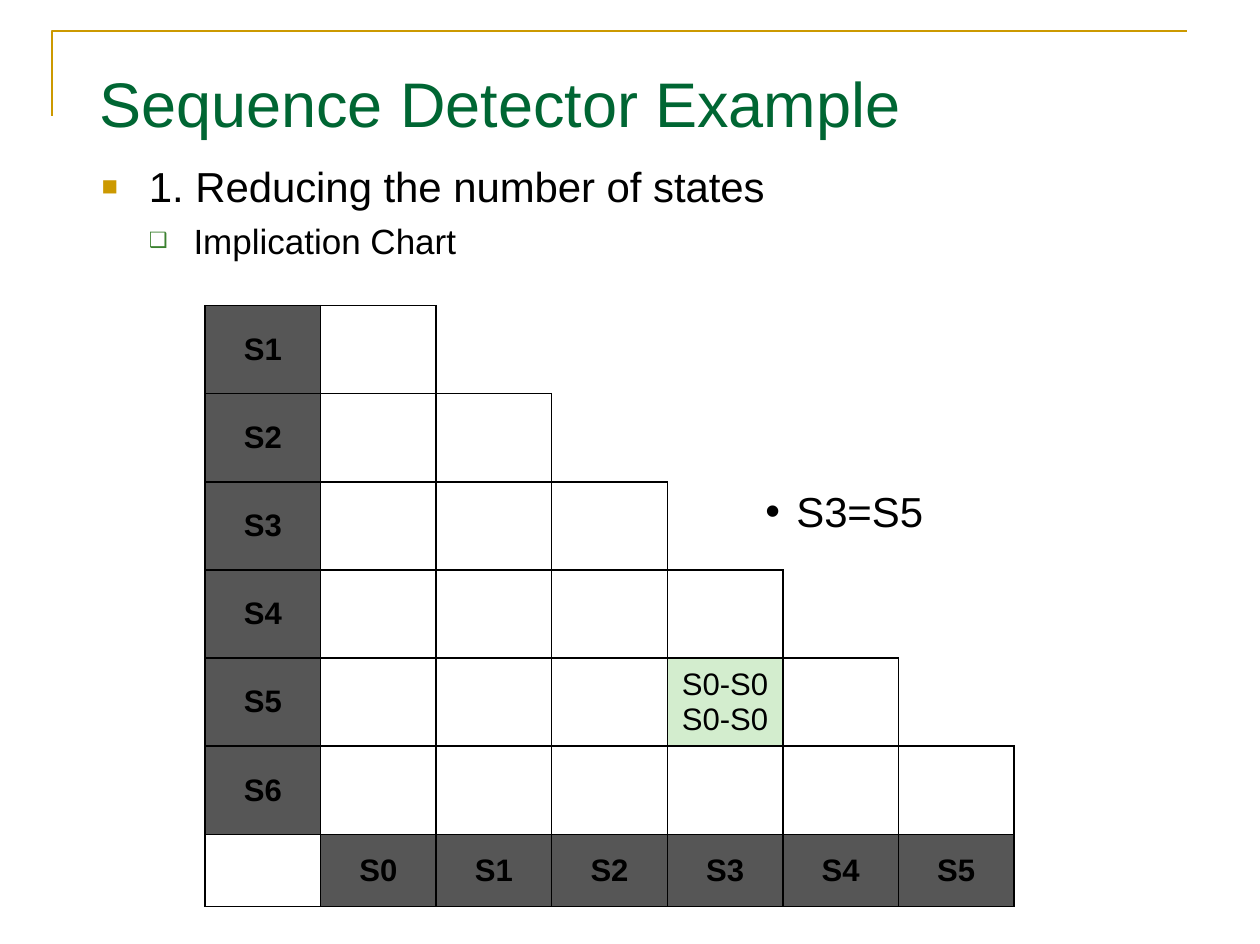
"""Builds the implication chart slide of a sequence detector example."""
from lxml.etree import SubElement
from pptx import Presentation
from pptx.dml.color import RGBColor
from pptx.enum.text import MSO_ANCHOR, PP_ALIGN
from pptx.oxml import parse_xml
from pptx.oxml.ns import nsdecls, qn
from pptx.util import Pt

COLORS = {
    "gold": "CC9900", "title": "006633", "text": "000000", "sub_bullet": "3B812F",
    "header": "565656", "cell": "FFFFFF", "match": "D3EDCE",
}


def add_text(box, lines):
    """Write lines of (text, size, colour, margin, hang, bullet, bullet colour, bullet %)."""
    frame = box.text_frame
    frame.word_wrap = True
    for index, (text, size, color, margin, hang, bullet, bullet_color, percent) in enumerate(lines):
        paragraph = frame.add_paragraph() if index else frame.paragraphs[0]
        paragraph.text = text
        if index:
            paragraph.space_before = Pt(5)
        if bullet:
            props = paragraph._p.get_or_add_pPr()
            props.set("marL", str(Pt(margin)))
            props.set("indent", str(-Pt(hang)))
            SubElement(SubElement(props, qn("a:buClr")), qn("a:srgbClr")).set("val", COLORS[bullet_color])
            SubElement(props, qn("a:buSzPct")).set("val", str(percent * 1000))
            SubElement(props, qn("a:buFont")).set("typeface", "Arial")
            SubElement(props, qn("a:buChar")).set("char", bullet)
        font = paragraph.runs[0].font
        font.name, font.size = "Arial", Pt(size)
        font.color.rgb = RGBColor.from_string(COLORS[color])


def set_borders(cell, visible):
    """Draw the cell sides named in visible and hide the others."""
    props = cell._tc.get_or_add_tcPr()
    for position, side in enumerate("LRTB"):
        fill = (f'<a:solidFill><a:srgbClr val="{COLORS["text"]}"/></a:solidFill>'
                if side in visible else "<a:noFill/>")
        props.insert(position, parse_xml(f'<a:ln{side} {nsdecls("a")} w="12700">{fill}</a:ln{side}>'))


prs = Presentation()
prs.slide_width, prs.slide_height = Pt(730), Pt(547.2)
slide = prs.slides.add_slide(prs.slide_layouts[6])
shapes = slide.shapes

outline = shapes.build_freeform(Pt(30.2), Pt(67), scale=1.0)
outline.add_line_segments([(Pt(30.2), Pt(18)), (Pt(687.6), Pt(18))], close=False)
corner = outline.convert_to_shape()
corner.shadow.inherit = False
corner.fill.background()
corner.line.color.rgb = RGBColor.from_string(COLORS["gold"])
corner.line.width = Pt(1.5)

title = shapes.add_textbox(Pt(50.4), Pt(33), Pt(629), Pt(53))
title.text_frame.vertical_anchor = MSO_ANCHOR.MIDDLE
add_text(title, [("Sequence Detector Example", 36.5, "title", 0, 0, None, None, None)])

outline_text = shapes.add_textbox(Pt(51.8), Pt(89.6), Pt(629), Pt(70))
add_text(outline_text, [
    ("1. Reducing the number of states", 24.3, "text", 27.4, 27.4, "■", "gold", 65),
    ("Implication Chart", 20.3, "text", 53.3, 25.9, "❑", "sub_bullet", 60),
])

states = [f"S{number}" for number in range(7)]
row_names, column_names = states[1:], states[:-1]
last_row = len(row_names)
chart_text = {(row, 0): name for row, name in enumerate(row_names)}
chart_text.update({(last_row, column): name for column, name in enumerate(column_names, 1)})
headers = set(chart_text)
match = (row_names.index("S5"), column_names.index("S3") + 1)
chart_text[match] = "S0-S0\nS0-S0"

chart = shapes.add_table(7, 7, Pt(118.8), Pt(177.1), Pt(468.72), Pt(348.4)).table
chart.first_row = chart.horz_banding = False
for column in chart.columns:
    column.width = Pt(66.96)
for row_number, row in enumerate(chart.rows):
    row.height = Pt(41.8 if row_number == last_row else 51.1)
    for column_number, cell in enumerate(row.cells):
        place = (row_number, column_number)
        cell.vertical_anchor = MSO_ANCHOR.MIDDLE
        cell.fill.solid()
        color = "header" if place in headers else "match" if place == match else "cell"
        cell.fill.fore_color.rgb = RGBColor.from_string(COLORS[color])
        steps_outside = column_number - row_number - 1
        set_borders(cell, "LRTB" if steps_outside <= 0 else "LB" if steps_outside == 1 else "")
        if place in chart_text:
            cell.text_frame.text = chart_text[place]
            for paragraph in cell.text_frame.paragraphs:
                paragraph.alignment = PP_ALIGN.CENTER
                font = paragraph.runs[0].font
                font.name, font.size, font.bold = "Arial", Pt(18), place in headers
                font.color.rgb = RGBColor.from_string(COLORS["text"])

result = shapes.add_textbox(Pt(436.3), Pt(281), Pt(281), Pt(68))
add_text(result, [("S3=S5", 24.3, "text", 18, 18, "•", "text", 100)])
result.text_frame.paragraphs[0].line_spacing = 0.9

prs.save("out.pptx")
